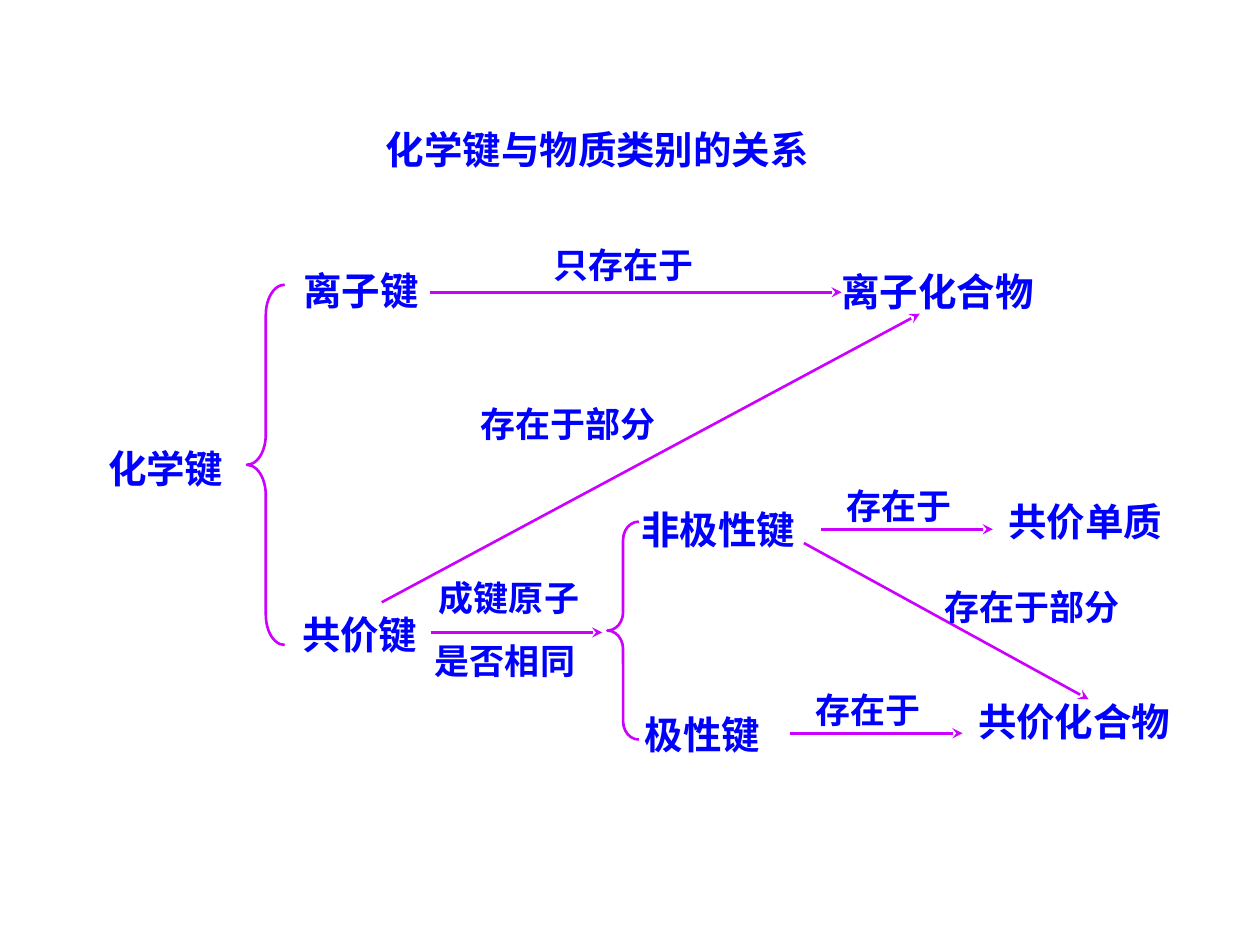
"""Build a slide that maps chemical bonds to classes of substances."""
from lxml import etree
from pptx import Presentation
from pptx.dml.color import RGBColor
from pptx.enum.shapes import MSO_CONNECTOR, MSO_SHAPE
from pptx.enum.text import MSO_ANCHOR, MSO_AUTO_SIZE, PP_ALIGN
from pptx.oxml.ns import qn
from pptx.util import Inches, Pt

BLUE = RGBColor(0x00, 0x00, 0xFF)
PURPLE = RGBColor(0xCC, 0x00, 0xFF)
LATIN_FONT = "Arial"
CHINESE_FONT = "Noto Sans CJK SC"
LINE_WIDTH = Pt(1.5)
STRAIGHT = MSO_CONNECTOR.STRAIGHT
LEFT_BRACE = MSO_SHAPE.LEFT_BRACE
TOP = MSO_ANCHOR.TOP
CENTER = PP_ALIGN.CENTER
FIT_SHAPE = MSO_AUTO_SIZE.SHAPE_TO_FIT_TEXT
TITLE_ONLY = 5


def write_text(shape, text, size=22, font=LATIN_FONT, spacing=1.0):
    frame = shape.text_frame
    frame.word_wrap = True
    frame.auto_size = FIT_SHAPE
    frame.vertical_anchor = TOP
    frame.text = text
    for paragraph in frame.paragraphs:
        paragraph.alignment = CENTER
        paragraph.line_spacing = spacing
        for run in paragraph.runs:
            run.font.name = font
            run.font.size = Pt(size)
            run.font.bold = True
            run.font.color.rgb = BLUE
            east_asian = etree.SubElement(run.font._element, qn("a:ea"))
            east_asian.set("typeface", CHINESE_FONT)


class BondSlide:
    def __init__(self, presentation):
        layout = presentation.slide_layouts[TITLE_ONLY]
        self.slide = presentation.slides.add_slide(layout)
        self.shapes = self.slide.shapes

    def title(self, text, left, top, width, height):
        title = self.shapes.title
        title.left, title.top = Inches(left), Inches(top)
        title.width, title.height = Inches(width), Inches(height)
        write_text(title, text)

    def text_box(self, text, left, top, width, height, **style):
        box = self.shapes.add_textbox(
            Inches(left), Inches(top), Inches(width), Inches(height))
        write_text(box, text, **style)

    def term(self, text, left, top, width=1.6):
        self.text_box(text, left, top, width, 0.47)

    def label(self, text, left, top, width=1.6, height=0.6):
        self.text_box(text, left, top, width, height,
                      size=20, font=CHINESE_FONT, spacing=1.5)

    def brace(self, left, top, width, height, curve):
        brace = self.shapes.add_shape(
            LEFT_BRACE, Inches(left), Inches(top), Inches(width), Inches(height))
        brace.shadow.inherit = False
        brace.fill.background()
        brace.line.color.rgb = PURPLE
        brace.line.width = LINE_WIDTH
        brace.adjustments[0] = curve

    def arrow(self, start_x, start_y, end_x, end_y):
        arrow = self.shapes.add_connector(
            STRAIGHT, Inches(start_x), Inches(start_y), Inches(end_x), Inches(end_y))
        arrow.line.color.rgb = PURPLE
        arrow.line.width = LINE_WIDTH
        line = arrow.line._get_or_add_ln()
        etree.SubElement(line, qn("a:tailEnd")).set("type", "stealth")
        etree.SubElement(arrow._element.spPr, qn("a:effectLst"))


def main():
    presentation = Presentation()
    presentation.slide_width = Inches(10)
    presentation.slide_height = Inches(7.5)
    page = BondSlide(presentation)

    page.title("化学键与物质类别的关系", 0.92, 0.95, 7.64, 0.47)

    page.term("化学键 ", 0.55, 3.48)
    page.term("离子键 ", 2.1, 2.07)
    page.term("离子化合物 ", 6.29, 2.08, width=2.37)
    page.term("共价键 ", 2.09, 4.8)
    page.term("非极性键 ", 4.77, 3.97, width=1.93)
    page.term("极性键 ", 4.81, 5.59)
    page.term("共价单质", 7.68, 3.9, width=1.87)
    page.term("共价化合物", 7.49, 5.49, width=2.07)

    page.brace(1.96, 2.26, 0.3, 2.86, curve=0.8)
    page.brace(4.82, 4.14, 0.25, 1.73, curve=0.58)

    page.arrow(3.42, 5.02, 4.78, 5.02)
    page.label("成键原子\n是否相同 ", 3.24, 4.36, height=1.1)
    page.arrow(6.52, 4.2, 7.88, 4.2)
    page.label("存在于 ", 6.37, 3.63)
    page.arrow(6.27, 5.82, 7.64, 5.82)
    page.label("存在于 ", 6.12, 5.25)
    page.arrow(3.41, 2.32, 6.68, 2.32)
    page.label("只存在于 ", 4.18, 1.72)
    page.arrow(6.38, 4.31, 8.64, 5.55)
    page.label("存在于部分 ", 7.2, 4.43, width=2.04)
    page.arrow(3.03, 4.78, 7.3, 2.49)
    page.label("存在于部分 ", 3.52, 2.98, width=2.04)

    presentation.save("out.pptx")


if __name__ == "__main__":
    main()
